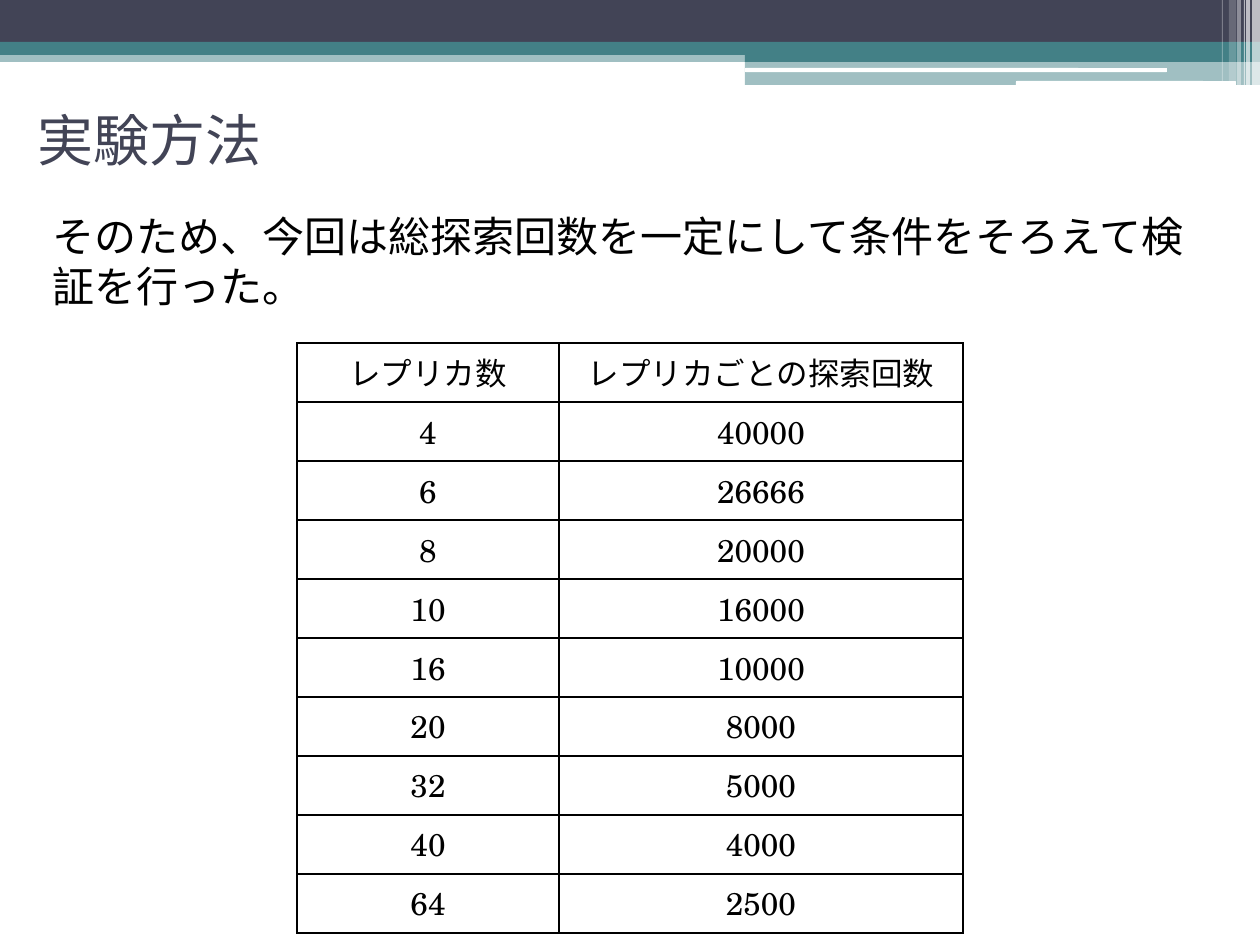
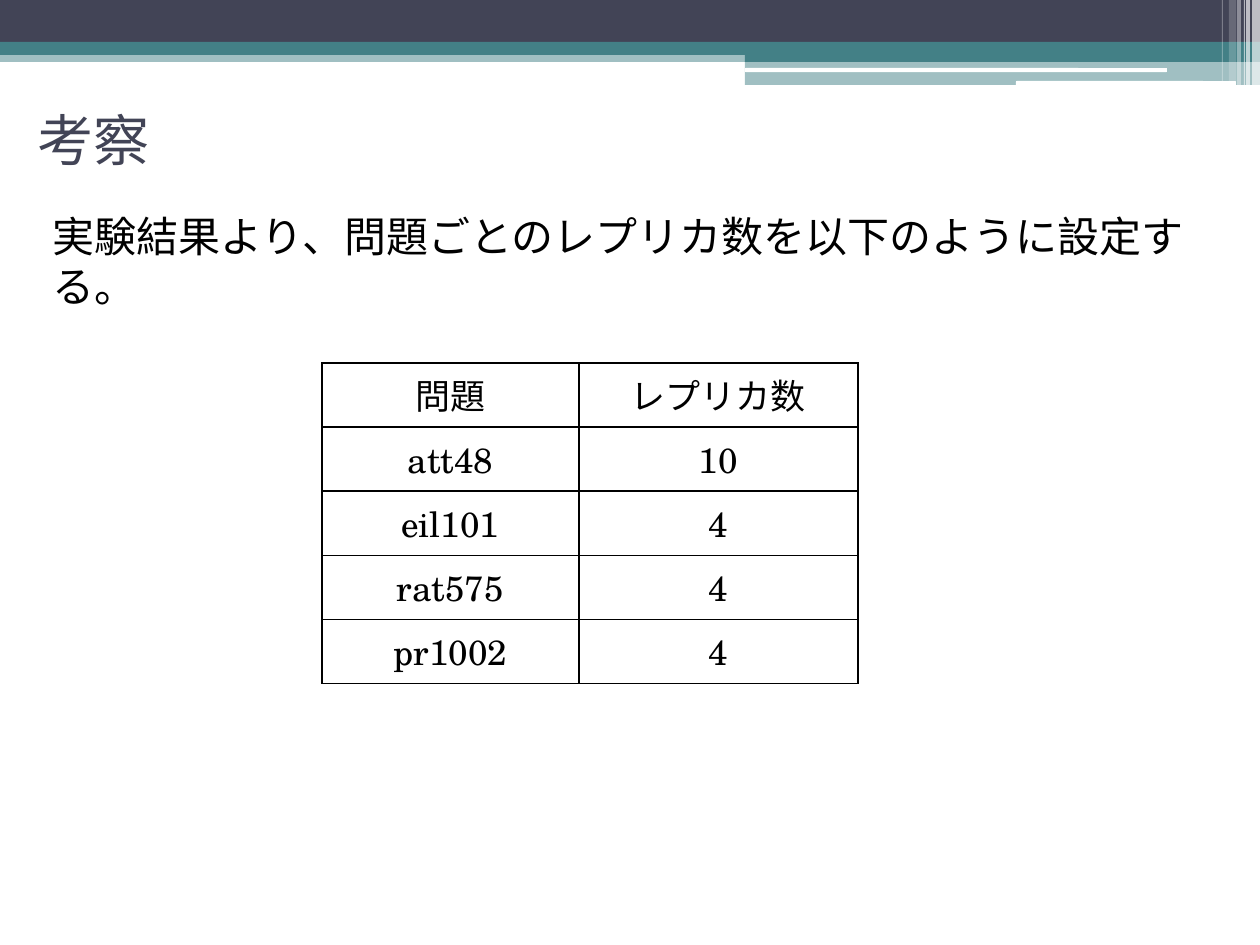
"""Build two slides on replica counts, each with a sentence and a table."""
from lxml import etree
from pptx import Presentation
from pptx.dml.color import RGBColor
from pptx.enum.shapes import MSO_SHAPE
from pptx.enum.text import MSO_ANCHOR, MSO_AUTO_SIZE, PP_ALIGN
from pptx.oxml.ns import qn
from pptx.util import Pt

RECTANGLE, ROUNDED = MSO_SHAPE.RECTANGLE, MSO_SHAPE.ROUNDED_RECTANGLE
LEFT, CENTER = PP_ALIGN.LEFT, PP_ALIGN.CENTER
TOP, MIDDLE = MSO_ANCHOR.TOP, MSO_ANCHOR.MIDDLE
NO_AUTOFIT = MSO_AUTO_SIZE.NONE

EMU_PER_PX = 914400 / 126
SLIDE_SIZE = (1260, 945)
TITLE_BOX = (25, 66, 1134, 147)
BODY_BOX = (25, 204, 1211, 741)
BODY_INDENT = 15
COLORS = {"navy": "424456", "teal": "438086", "white": "FFFFFF", "black": "000000"}
TITLE_FONT, TEXT_FONT = "Lato", "TeX Gyre Schola"

# (preset, box, colour, opacity in percent), from back to front
BANDS = [
    (RECTANGLE, (0, 50, 1260, 12), "teal", 50),
    (RECTANGLE, (0, 0, 1260, 42), "navy", 100),
    (RECTANGLE, (0, 42, 1260, 13), "teal", 100),
    (RECTANGLE, (745, 49, 515, 13), "teal", 100),
    (RECTANGLE, (745, 61, 515, 24), "teal", 50),
    (ROUNDED, (745, 68, 422, 4), "white", 100),
    (ROUNDED, (1016, 81, 220, 5), "white", 100),
]
STRIPES = [
    (1252, 8, 85, 65),
    (1246, 4, 85, 65),
    (1244, 1, 85, 60),
    (1237, 4, 85, 40),
    (1229, 7, 81, 20),
    (1222, 1, 81, 30),
]
BANDS += [(RECTANGLE, (left, 0, width, height), "white", opacity)
          for left, width, height, opacity in STRIPES]

SLIDES = [
    {
        "title": "実験方法",
        "body": "そのため、今回は総探索回数を一定にして条件をそろえて検証を行った。",
        "origin": (297, 343), "columns": (262, 404), "row_height": 59, "size": 18,
        "rows": [
            ("レプリカ数", "レプリカごとの探索回数"),
            ("4", "40000"),
            ("6", "26666"),
            ("8", "20000"),
            ("10", "16000"),
            ("16", "10000"),
            ("20", "8000"),
            ("32", "5000"),
            ("40", "4000"),
            ("64", "2500"),
        ],
    },
    {
        "title": "考察",
        "body": "実験結果より、問題ごとのレプリカ数を以下のように設定する。",
        "origin": (322, 363), "columns": (257, 279), "row_height": 64, "size": 20,
        "rows": [
            ("問題", "レプリカ数"),
            ("att48", "10"),
            ("eil101", "4"),
            ("rat575", "4"),
            ("pr1002", "4"),
        ],
    },
]


def px(length):
    """Turn px into EMU."""
    return round(length * EMU_PER_PX)


def rgb(name):
    """Look up a named colour."""
    return RGBColor.from_string(COLORS[name])


def write(text_frame, text, font_name, size, color, alignment):
    """Set one formatted paragraph and return it."""
    text_frame.text = text
    paragraph = text_frame.paragraphs[0]
    paragraph.alignment = alignment
    for run in paragraph.runs:
        run.font.name = font_name
        run.font.size = Pt(size)
        run.font.color.rgb = rgb(color)
        east_asian = etree.SubElement(run.font._element, qn("a:ea"))
        east_asian.set("typeface", font_name)
    return paragraph


def fill_placeholder(placeholder, box, anchor, *text_style):
    """Place a placeholder, write its text and return the paragraph."""
    placeholder.left, placeholder.top, placeholder.width, placeholder.height = map(px, box)
    text_frame = placeholder.text_frame
    text_frame.auto_size = NO_AUTOFIT
    text_frame.vertical_anchor = anchor
    return write(text_frame, *text_style, LEFT)


def add_bands(slide, master):
    """Draw the header bands and move them to the slide master."""
    first_placeholder = master.shapes[0].element
    for preset, box, color, opacity in BANDS:
        shape = slide.shapes.add_shape(preset, *map(px, box))
        shape.shadow.inherit = False
        shape.line.fill.background()
        shape.fill.solid()
        shape.fill.fore_color.rgb = rgb(color)
        if opacity < 100:
            fill_color = shape.element.spPr.find(qn("a:solidFill"))[0]
            etree.SubElement(fill_color, qn("a:alpha")).set("val", str(opacity * 1000))
        first_placeholder.addprevious(shape.element)


def add_borders(cell):
    """Draw a thin black line on all four sides of a cell."""
    properties = cell._tc.get_or_add_tcPr()
    for side in ("lnL", "lnR", "lnT", "lnB"):
        line = etree.SubElement(properties, qn(f"a:{side}"), w=str(Pt(1)))
        fill = etree.SubElement(line, qn("a:solidFill"))
        etree.SubElement(fill, qn("a:srgbClr"), val=COLORS["black"])


def add_table(slide, content):
    """Add the bordered table of a slide."""
    rows, columns = content["rows"], content["columns"]
    size = (sum(columns), content["row_height"] * len(rows))
    frame = slide.shapes.add_table(len(rows), len(columns), *map(px, content["origin"] + size))
    table = frame.table
    table.first_row = table.horz_banding = False
    for column, width in zip(table.columns, columns):
        column.width = px(width)
    for row, values in zip(table.rows, rows):
        row.height = px(content["row_height"])
        for cell, value in zip(row.cells, values):
            add_borders(cell)
            cell.fill.background()
            cell.vertical_anchor = MIDDLE
            write(cell.text_frame, value, TEXT_FONT, content["size"], "black", CENTER)


def add_slide(presentation, content):
    """Add one slide with title, sentence and table."""
    slide = presentation.slides.add_slide(presentation.slide_layouts[1])
    title, body = slide.placeholders
    fill_placeholder(title, TITLE_BOX, MIDDLE, content["title"], TITLE_FONT, 32, "navy")
    paragraph = fill_placeholder(body, BODY_BOX, TOP, content["body"], TEXT_FONT, 24, "black")
    properties = paragraph._p.get_or_add_pPr()
    properties.set("marL", str(px(BODY_INDENT)))
    properties.set("indent", "0")
    etree.SubElement(properties, qn("a:buNone"))
    paragraph.space_before = Pt(0)
    add_table(slide, content)
    return slide


def main():
    """Build and save the presentation."""
    presentation = Presentation()
    presentation.slide_width, presentation.slide_height = map(px, SLIDE_SIZE)
    slides = [add_slide(presentation, content) for content in SLIDES]
    add_bands(slides[0], presentation.slide_master)
    presentation.save("out.pptx")


if __name__ == "__main__":
    main()
